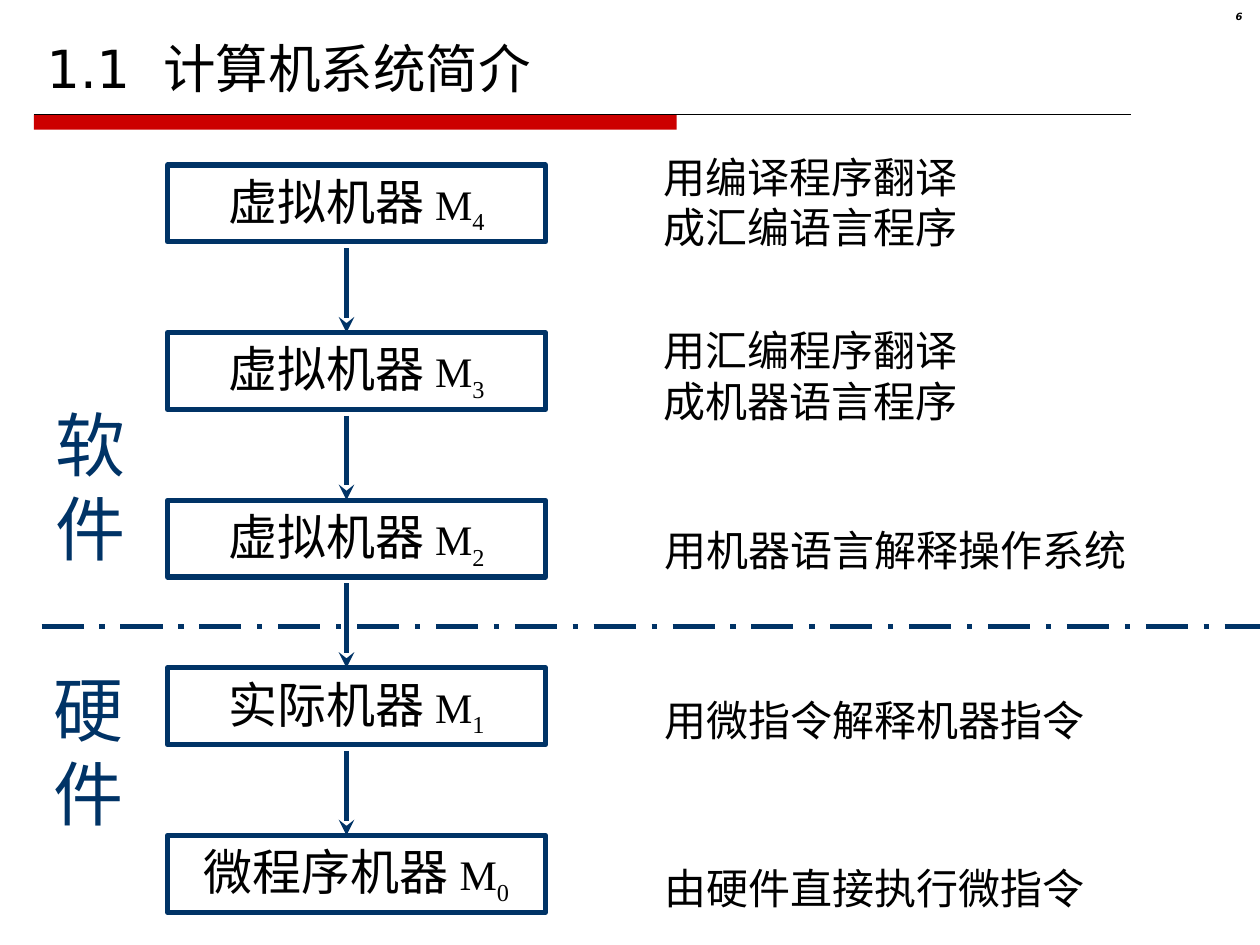
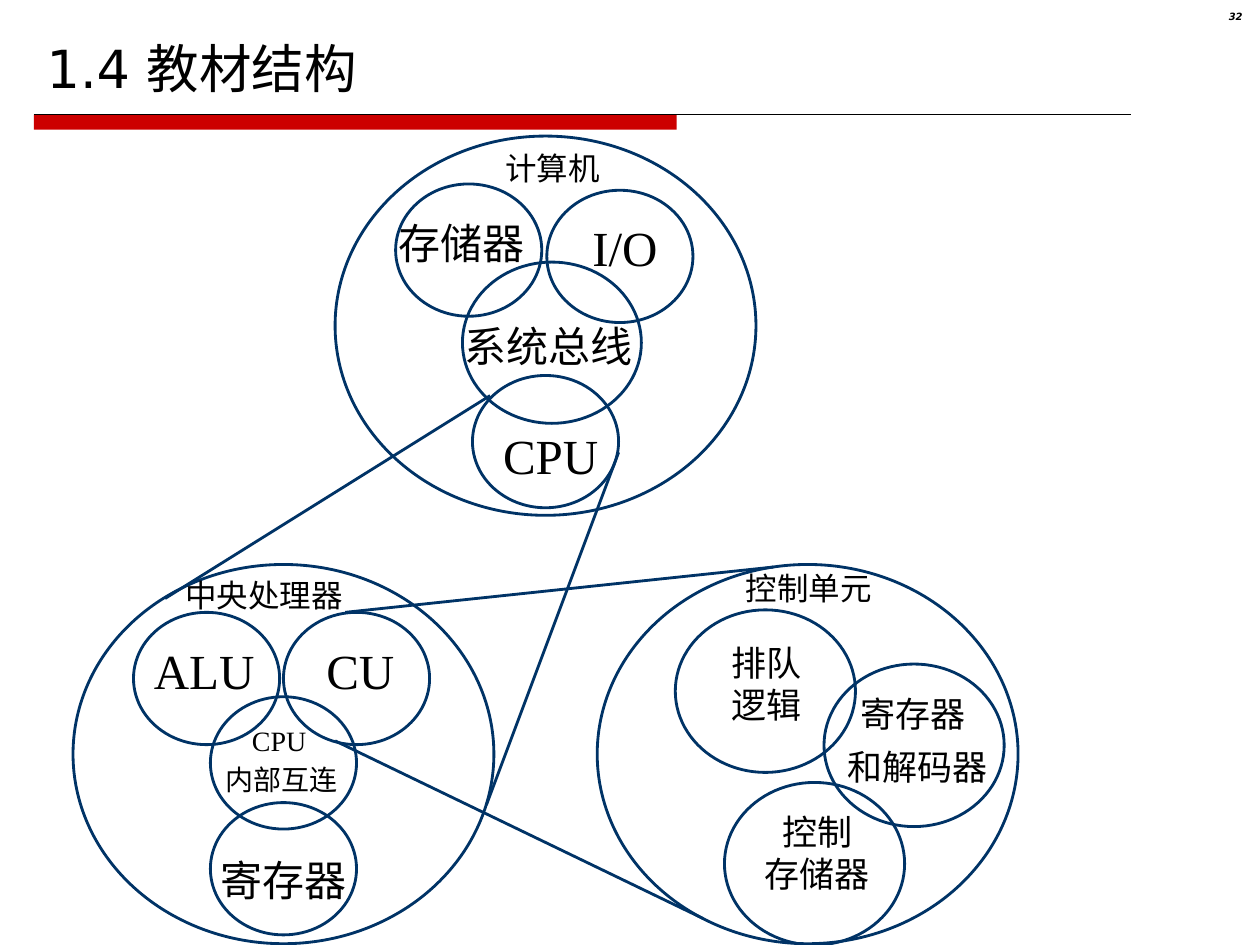
from lxml import etree
from pptx import Presentation
from pptx.dml.color import RGBColor
from pptx.enum.dml import MSO_LINE
from pptx.enum.shapes import MSO_CONNECTOR, MSO_SHAPE
from pptx.enum.text import MSO_ANCHOR, MSO_AUTO_SIZE, PP_ALIGN
from pptx.oxml.ns import qn
from pptx.util import Pt

PX = 9144
TITLE_ONLY = 5
LEFT, CENTER, RIGHT = PP_ALIGN.LEFT, PP_ALIGN.CENTER, PP_ALIGN.RIGHT
TOP, MIDDLE, BOTTOM = MSO_ANCHOR.TOP, MSO_ANCHOR.MIDDLE, MSO_ANCHOR.BOTTOM
NO_AUTOFIT = MSO_AUTO_SIZE.NONE
RECTANGLE, OVAL = MSO_SHAPE.RECTANGLE, MSO_SHAPE.OVAL
STRAIGHT = MSO_CONNECTOR.STRAIGHT
DASH_DOT = MSO_LINE.LONG_DASH_DOT

COLORS = {"ink": "000000", "navy": "003366", "band": "CC0000"}
HEAD_FONT, BODY_FONT, LATIN_FONT = "DejaVu Sans", "Lato", "Times New Roman"
THIN, THICK = 1.62, 3

UNIT = (334, 301)
PART = (116, 105)
BUS = (142, 128)
CONTROL = (143, 129)


def color(name):
    return RGBColor.from_string(COLORS[name])


def emu(*lengths):
    return [length * PX for length in lengths]


class Deck:
    def __init__(self):
        self.deck = Presentation()
        self.deck.slide_width, self.deck.slide_height = emu(1000, 750)
        self.page = None

    def add_page(self, title, number):
        self.page = self.deck.slides.add_slide(self.deck.slide_layouts[TITLE_ONLY])
        band = self.shape(RECTANGLE, 27, 91, 510, 12)
        band.fill.solid()
        band.fill.fore_color.rgb = color("band")
        band.line.fill.background()
        self.line((27, 91), (898, 91), 0.75, "ink")

        box = self.page.shapes.title
        box.left, box.top, box.width, box.height = emu(27, 13, 945, 71)
        self.fill_text(box, [title], 30, HEAD_FONT, LEFT, anchor=BOTTOM)

        para = self.text([number], 937, 5, 59, 23, 5.7, HEAD_FONT, RIGHT, inset=(10, 5))
        para.line_spacing = 0.8
        para.font.bold = para.font.italic = True

    def style(self, font, size, face, ink="ink"):
        font.size = Pt(size)
        font.name = face
        font.color.rgb = color(ink)

    def fill_text(self, box, lines, size, face, align, ink="ink", anchor=TOP):
        frame = box.text_frame
        frame.auto_size = NO_AUTOFIT
        frame.vertical_anchor = anchor
        frame.text = "\n".join(lines)
        for para in frame.paragraphs:
            para.alignment = align
            self.style(para.font, size, face, ink)
        return frame.paragraphs[0]

    def text(self, lines, x, y, width, height, size, face=BODY_FONT, align=LEFT,
             ink="ink", inset=(0, 0)):
        box = self.page.shapes.add_textbox(*emu(x, y, width, height))
        frame = box.text_frame
        frame.word_wrap = False
        frame.margin_left = frame.margin_right = inset[0] * PX
        frame.margin_top = frame.margin_bottom = inset[1] * PX
        return self.fill_text(box, lines, size, face, align, ink)

    def shape(self, kind, x, y, width, height, weight=THIN):
        shape = self.page.shapes.add_shape(kind, *emu(x, y, width, height))
        shape.shadow.inherit = False
        shape.fill.background()
        shape.line.color.rgb = color("navy")
        shape.line.width = Pt(weight)
        return shape

    def machine(self, name, level, x, y, width, height):
        box = self.shape(RECTANGLE, x, y, width, height, THICK)
        box.text_frame.vertical_anchor = MIDDLE
        para = box.text_frame.paragraphs[0]
        para.alignment = CENTER
        parts = [(name + " ", 28, BODY_FONT), ("M", 24, LATIN_FONT),
                 (str(level), 24, LATIN_FONT)]
        for words, size, face in parts:
            span = para.add_run()
            span.text = words
            self.style(span.font, size, face)
        span._r.get_or_add_rPr().set("baseline", "-25000")

    def circle(self, x, y, size):
        self.shape(OVAL, x, y, *size)

    def line(self, start, end, weight=THIN, ink="navy", dash=None, arrow=False):
        line = self.page.shapes.add_connector(STRAIGHT, *emu(*start, *end))
        line.line.color.rgb = color(ink)
        line.line.width = Pt(weight)
        if dash:
            line.line.dash_style = dash
        if arrow:
            tail = etree.SubElement(line.line._get_or_add_ln(), qn("a:tailEnd"))
            tail.set("type", "stealth")
        etree.SubElement(line._element.spPr, qn("a:effectLst"))


def build_levels(deck):
    deck.add_page("1.1  计算机系统简介", "6")
    notes = [
        (["用编译程序翻译", "成汇编语言程序"], 517, 115, 253),
        (["用汇编程序翻译", "成机器语言程序"], 517, 253, 253),
        (["用机器语言解释操作系统"], 518, 411, 386),
        (["用微指令解释机器指令"], 518, 546, 353),
        (["由硬件直接执行微指令"], 518, 680, 353),
    ]
    for lines, x, y, width in notes:
        deck.text(lines, x, y, width, 10 + 40 * len(lines), 24, align=CENTER, inset=(10, 5))

    deck.line((33, 497), (1000, 497), THICK, dash=DASH_DOT)
    for word, x, y in [("软件", 34, 314), ("硬件", 33, 524)]:
        deck.text(list(word), x, y, 75, 144, 40, align=CENTER, ink="navy", inset=(10, 5))

    machines = ["虚拟机器", "虚拟机器", "虚拟机器", "实际机器", "微程序机器"]
    first, pitch, last = 131, 133, len(machines) - 1
    for row, name in enumerate(machines):
        y = first + row * pitch
        deck.machine(name, last - row, 133, y, 300, 61)
        if row < last:
            deck.line((275, y + 66), (275, y + pitch), THICK, arrow=True)


def build_structure(deck):
    deck.add_page("1.4 教材结构", "32")
    circles = [
        (UNIT, [(266, 108), (58, 448), (474, 448)]),
        (PART, [(314, 146), (434, 151), (375, 298),
                (106, 486), (225, 486), (167, 553), (167, 637)]),
        (BUS, [(367, 208)]),
        (CONTROL, [(536, 484), (654, 527), (575, 621)]),
    ]
    for size, corners in circles:
        for x, y in corners:
            deck.circle(x, y, size)

    zooms = [
        ((389, 314), (131, 475)), ((491, 359), (386, 639)),
        ((266, 588), (558, 729)), ((274, 486), (614, 450)),
    ]
    for start, end in zooms:
        deck.line(start, end)

    headings = [("计算机", 401, 118, 75), ("中央处理器", 147, 457, 125),
                ("控制单元", 592, 452, 100)]
    for words, x, y, width in headings:
        deck.text([words], x, y, width, 30, 18)

    parts = [("存储器", 316, 173, 100), ("系统总线", 369, 254, 133),
             ("寄存器", 175, 678, 100)]
    for words, x, y, width in parts:
        deck.text([words], x, y, width, 40, 24)

    acronyms = [("I/O", 455, 173, 82), ("CPU", 399, 338, 76),
                ("ALU", 122, 508, 80), ("CU", 259, 508, 54)]
    for words, x, y, width in acronyms:
        deck.text([words], x, y, width, 47, 28, LATIN_FONT, CENTER)

    deck.text(["CPU"], 200, 574, 44, 27, 16, LATIN_FONT)
    deck.text(["内部互连"], 179, 605, 89, 27, 16)

    controls = [(["排队", "逻辑"], 541, 509, 135), (["控制", "存储器"], 589, 643, 119),
                (["寄存器"], 683, 550, 84), (["和解码器"], 673, 592, 111)]
    for lines, x, y, width in controls:
        deck.text(lines, x, y, width, 33 * len(lines), 20, align=CENTER)


def main():
    deck = Deck()
    build_levels(deck)
    build_structure(deck)
    deck.deck.save("out.pptx")


if __name__ == "__main__":
    main()
